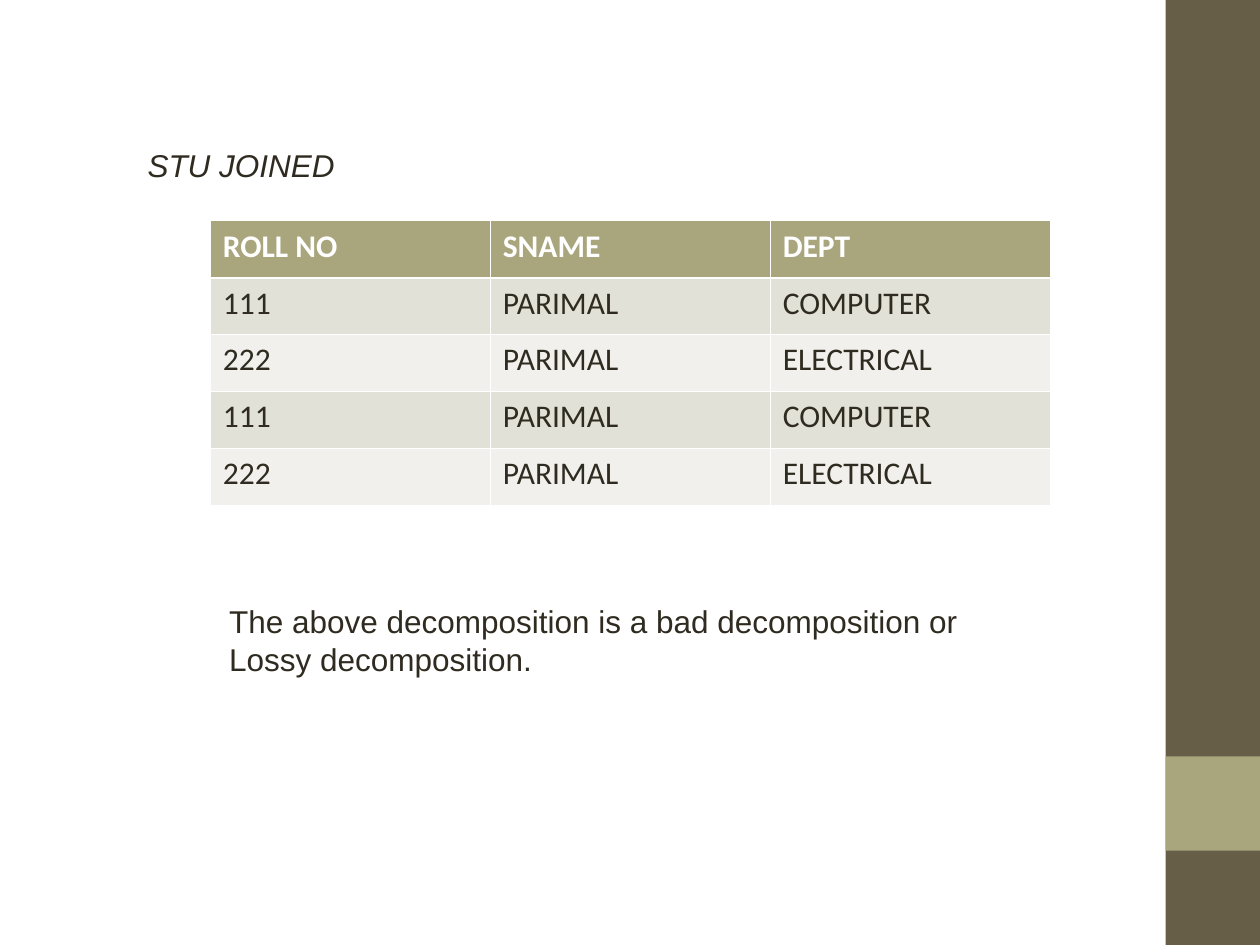
from dataclasses import dataclass

from lxml import etree
from pptx import Presentation
from pptx.dml.color import RGBColor
from pptx.enum import shapes, text
from pptx.oxml import ns
from pptx.util import Cm, Pt


@dataclass(frozen=True)
class Theme:
    """Colours, fonts and type sizes of the deck."""
    ink: str = "2F2B20"
    white: str = "FFFFFF"
    band: str = "675E47"
    accent: str = "A9A57C"
    odd_row: str = "E2E1D7"
    even_row: str = "F1F0EC"
    text_font: str = "Arial"
    table_font: str = "Calibri"
    size: float = 18
    thin: float = 0.45
    thick: float = 1.47


@dataclass(frozen=True)
class Box:
    """A region of the page in centimetres."""
    left: float
    top: float
    width: float
    height: float

    def lengths(self):
        """Return the four lengths for python-pptx."""
        return Cm(self.left), Cm(self.top), Cm(self.width), Cm(self.height)


THEME = Theme()
ROWS = [
    ("ROLL NO", "SNAME", "DEPT"),
    ("111", "PARIMAL", "COMPUTER"),
    ("222", "PARIMAL", "ELECTRICAL"),
    ("111", "PARIMAL", "COMPUTER"),
    ("222", "PARIMAL", "ELECTRICAL"),
]


def add_span(para, words, font, colour=THEME.ink, bold=False, italic=False):
    """Add one formatted run to a paragraph."""
    span = para.add_run()
    span.text = words
    span.font.name = font
    span.font.size = Pt(THEME.size)
    span.font.bold = bold
    span.font.italic = italic
    span.font.color.rgb = RGBColor.from_string(colour)


def add_band(page, box, colour):
    """Fill the box with a plain rectangle."""
    band = page.shapes.add_shape(shapes.MSO_SHAPE.RECTANGLE, *box.lengths())
    band.shadow.inherit = False
    band.fill.solid()
    band.fill.fore_color.rgb = RGBColor.from_string(colour)
    band.line.fill.background()


def add_sidebar(page, box):
    """Draw the side band with its accent square."""
    add_band(page, box, THEME.band)
    side = box.width
    accent_top = box.top + box.height - 2 * side
    add_band(page, Box(box.left, accent_top, side, side), THEME.accent)


def fill_text(shape, box, words, italic=False):
    """Place a text shape in the box and write its single paragraph."""
    shape.left, shape.top, shape.width, shape.height = box.lengths()
    frame = shape.text_frame
    frame.word_wrap = True
    frame.auto_size = text.MSO_AUTO_SIZE.NONE
    frame.vertical_anchor = text.MSO_ANCHOR.TOP
    para = frame.paragraphs[0]
    para.alignment = text.PP_ALIGN.LEFT
    add_span(para, words, THEME.text_font, italic=italic)


def add_borders(cell, widths):
    """Draw white borders, given widths by side in points."""
    properties = cell._tc.get_or_add_tcPr()
    for side, width in widths.items():
        line = etree.SubElement(properties, ns.qn(f"a:ln{side}"), w=str(Pt(width)))
        fill = etree.SubElement(line, ns.qn("a:solidFill"))
        etree.SubElement(fill, ns.qn("a:srgbClr"), val=THEME.white)


def add_student_table(page, box, rows):
    """Spread the rows evenly over the box as a banded table."""
    count, columns = len(rows), len(rows[0])
    table = page.shapes.add_table(count, columns, *box.lengths()).table
    for column in table.columns:
        column.width = Cm(box.width / columns)
    for index, values in enumerate(rows):
        table.rows[index].height = Cm(box.height / count)
        header = index == 0
        banding = THEME.odd_row if index % 2 else THEME.even_row
        top = THEME.thick if index == 1 else THEME.thin
        bottom = THEME.thick if header else THEME.thin
        for cell, value in zip(table.rows[index].cells, values):
            add_borders(cell, {"L": THEME.thin, "R": THEME.thin, "T": top, "B": bottom})
            cell.fill.solid()
            cell.fill.fore_color.rgb = RGBColor.from_string(THEME.accent if header else banding)
            add_span(cell.text_frame.paragraphs[0], value, THEME.table_font,
                     THEME.white if header else THEME.ink, bold=header)


def main():
    """Build the deck and save it."""
    deck = Presentation()
    deck.slide_width, deck.slide_height = Cm(25.4), Cm(19.05)
    page = deck.slides.add_slide(deck.slide_layouts.get_by_name("Title Only"))
    add_sidebar(page, Box(23.5, 0, 1.9, 19.05))
    fill_text(page.shapes.title, Box(2.72, 2.82, 5.05, 1.02), "STU JOINED", italic=True)
    add_student_table(page, Box(4.24, 4.45, 16.93, 5.74), ROWS)
    note_box = Box(4.37, 12.01, 15.6, 1.78)
    fill_text(page.shapes.add_textbox(*note_box.lengths()), note_box,
              "The above decomposition is a bad decomposition or Lossy decomposition.")
    deck.save("out.pptx")


if __name__ == "__main__":
    main()
